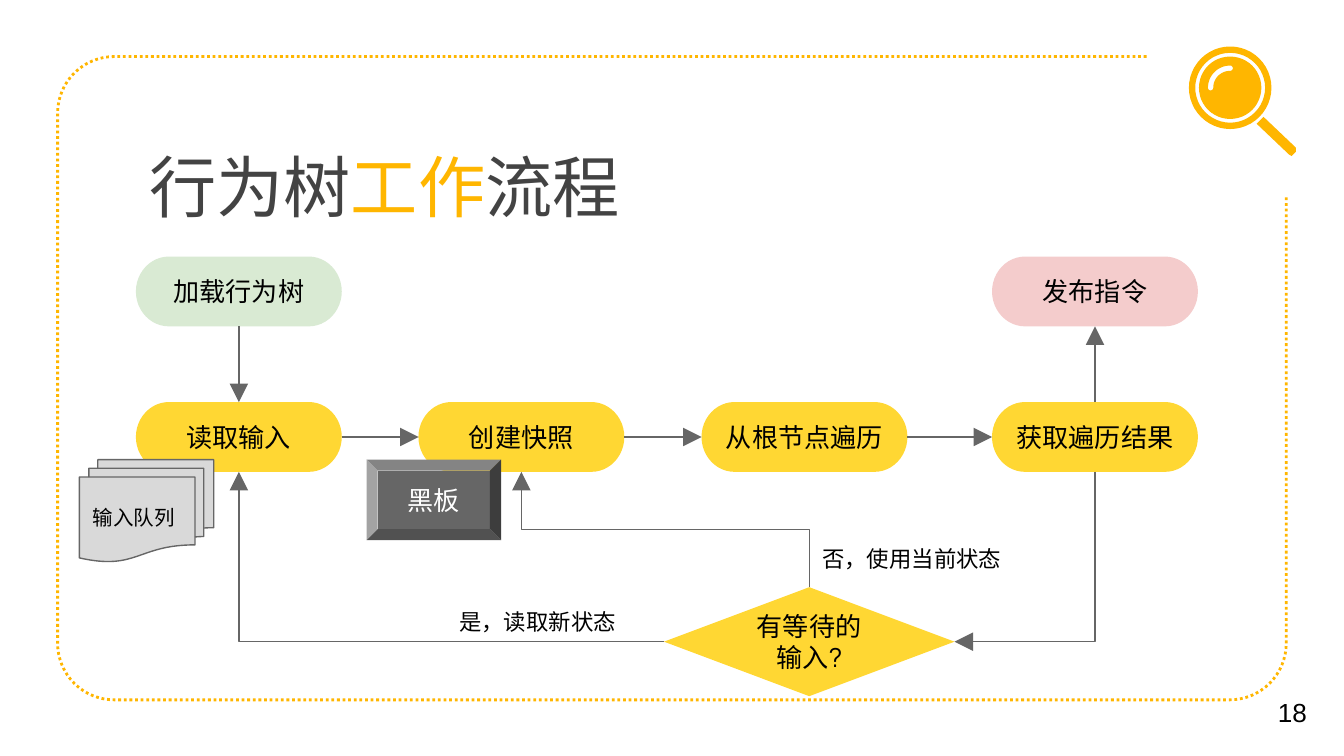
from math import cos, radians, sin

from pptx import Presentation
from pptx.dml.color import RGBColor
from pptx.enum import dml, shapes, text
from pptx.oxml import ns, xmlchemy
from pptx.util import Cm, Pt

AMBER = RGBColor(0xFF, 0xB6, 0x00)
YELLOW = RGBColor(0xFF, 0xD7, 0x33)
GREEN = RGBColor(0xD9, 0xEA, 0xD3)
PINK = RGBColor(0xF4, 0xCC, 0xCC)
LIGHT_GREY = RGBColor(0xD9, 0xD9, 0xD9)
GREY = RGBColor(0x66, 0x66, 0x66)
CHARCOAL = RGBColor(0x43, 0x43, 0x43)
BLACK = RGBColor(0, 0, 0)
WHITE = RGBColor(0xFF, 0xFF, 0xFF)

TOP, LEFT, BOTTOM, RIGHT = range(4)
KIND = shapes.MSO_SHAPE
ALIGN = text.PP_ALIGN


def write(shape, *runs, size=14, font="Manrope", color=BLACK,
          align=ALIGN.CENTER, anchor=text.MSO_ANCHOR.MIDDLE):
    """Fill a shape with one paragraph; a run is a string or (string, colour)."""
    frame = shape.text_frame
    frame.word_wrap = True
    frame.auto_size = text.MSO_AUTO_SIZE.NONE
    frame.vertical_anchor = anchor
    frame.margin_left = frame.margin_right = Cm(0.25)
    frame.margin_top = frame.margin_bottom = Cm(0.25)
    paragraph = frame.paragraphs[0]
    paragraph.alignment = align
    for part in runs:
        words, tint = (part, color) if isinstance(part, str) else part
        run = paragraph.add_run()
        run.text = words
        run.font.size = Pt(size)
        run.font.color.rgb = tint
        run.font.name = font
        for tag in ("a:ea", "a:cs"):
            script = xmlchemy.OxmlElement(tag)
            script.set("typeface", font)
            run.font._element.append(script)


def paint(shape, fill=None, line=None, width=0.75):
    shape.shadow.inherit = False
    if fill is None:
        shape.fill.background()
    else:
        shape.fill.solid()
        shape.fill.fore_color.rgb = fill
    if line is None:
        shape.line.fill.background()
    else:
        shape.line.color.rgb = line
        shape.line.width = Pt(width)


def arc(x, y, radius, start, end, steps=16):
    angles = (radians(start + (end - start) * i / steps) for i in range(steps + 1))
    return [(x + radius * cos(a), y + radius * sin(a)) for a in angles]


def outline(slide, *contours, close=True):
    contours = [[(Cm(x), Cm(y)) for x, y in points] for points in contours]
    builder = slide.shapes.build_freeform(*contours[0][0])
    builder.add_line_segments(contours[0][1:], close=close)
    for points in contours[1:]:
        builder.move_to(*points[0])
        builder.add_line_segments(points[1:], close=close)
    return builder.convert_to_shape()


def draw_frame(slide, left, top, width, height, radius=1.07):
    """Dotted border, open at the top right corner for the icon."""
    right, bottom = left + width, top + height
    points = [(right - 2.64, top)]
    points += arc(left + radius, top + radius, radius, 270, 180)
    points += arc(left + radius, bottom - radius, radius, 180, 90)
    points += arc(right - radius, bottom - radius, radius, 90, 0)
    points.append((right, top + 2.64))
    border = outline(slide, points, close=False)
    paint(border, line=AMBER, width=1.5)
    border.line.dash_style = dml.MSO_LINE.ROUND_DOT


def draw_magnifier(slide, left, top, radius=0.78):
    x, y = left + radius, top + radius
    gleam, cap = 0.37, 0.05
    rim = [arc(x, y, radius, 0, 360, 48), arc(x, y, 0.66, 360, 0, 48)]
    highlight = (arc(x, y, gleam + cap, 180, 270)
                 + arc(x, y - gleam, cap, -90, 90)
                 + arc(x, y, gleam - cap, 270, 180)
                 + arc(x - gleam, y, cap, 0, 180))
    lens = [arc(x, y, 0.59, 0, 360, 48), highlight]
    handle = [(left + dx, top + dy) for dx, dy in (
        (1.41, 1.33), (1.28, 1.46), (1.89, 2.04), (1.94, 2.07),
        (2.02, 1.99), (2.02, 1.91))]
    for contours in (rim, lens, [handle]):
        paint(outline(slide, *contours), fill=AMBER)


def draw_title(slide, left, top, width, height):
    title = slide.shapes.title
    title.left, title.top, title.width, title.height = map(Cm, (left, top, width, height))
    write(title, "行为树", ("工作", AMBER), "流程", size=36, color=CHARCOAL,
          align=ALIGN.LEFT, anchor=text.MSO_ANCHOR.TOP)


def add_label(slide, words, left, top, width, height, **style):
    label = slide.shapes.add_textbox(*map(Cm, (left, top, width, height)))
    write(label, words, align=ALIGN.LEFT, **style)


def add_node(slide, words, left, top, width=3.89, height=1.32,
             kind=KIND.FLOWCHART_TERMINATOR, fill=YELLOW, line=None, **style):
    node = slide.shapes.add_shape(kind, *map(Cm, (left, top, width, height)))
    paint(node, fill, line)
    write(node, words, **style)
    return node


def add_arrow(slide, source, source_side, target, target_side,
              bend=None, turn=0, flip=False):
    """Join two nodes; bend names the elbow preset, turn its rotation."""
    kind = shapes.MSO_CONNECTOR.ELBOW if bend else shapes.MSO_CONNECTOR.STRAIGHT
    arrow = slide.shapes.add_connector(kind, 0, 0, 0, 0)
    arrow.begin_connect(source, source_side)
    arrow.end_connect(target, target_side)
    arrow.line.color.rgb = GREY
    arrow.line.width = Pt(0.75)
    properties = arrow._element.spPr
    head = xmlchemy.OxmlElement("a:tailEnd")
    head.set("type", "triangle")
    head.set("w", "lg")
    head.set("len", "lg")
    arrow.line._get_or_add_ln().append(head)
    properties.append(xmlchemy.OxmlElement("a:effectLst"))
    if bend:
        center_x = (arrow.begin_x + arrow.end_x) // 2
        center_y = (arrow.begin_y + arrow.end_y) // 2
        width, height = arrow.width, arrow.height
        if turn % 180:
            width, height = height, width
        arrow.left, arrow.top = center_x - width // 2, center_y - height // 2
        arrow.width, arrow.height = width, height
        transform = properties.find(ns.qn("a:xfrm"))
        transform.set("rot", str(turn * 60000))
        transform.set("flipH", str(int(flip)))
        transform.set("flipV", "0")
        properties.find(ns.qn("a:prstGeom")).set("prst", bend)


def draw_workflow(slide, left, top):
    columns = [left + dx for dx in (0, 5.34, 10.69, 16.18)]
    row = top + 2.75

    # Steps
    load = add_node(slide, "加载行为树", columns[0], top, fill=GREEN)
    publish = add_node(slide, "发布指令", columns[3], top, fill=PINK)
    names = ("读取输入", "创建快照", "从根节点遍历", "获取遍历结果")
    steps = [add_node(slide, name, x, row) for name, x in zip(names, columns)]
    read, snapshot, _, result = steps
    waiting = add_node(slide, "有等待的输入?", left + 9.98, top + 6.25, 5.49, 2.06,
                       kind=KIND.FLOWCHART_DECISION)

    # Data stores
    board = add_node(slide, "黑板", left + 4.36, top + 3.84, 2.54, 1.52,
                     kind=KIND.BEVEL, fill=GREY, color=WHITE)
    board.adjustments[0] = 0.137
    add_node(slide, "输入队列", left - 1.07, top + 3.84, 2.54, 1.93,
             kind=KIND.FLOWCHART_MULTIDOCUMENT, fill=LIGHT_GREY, line=GREY,
             size=11, align=ALIGN.LEFT)

    # Arrows
    add_arrow(slide, load, BOTTOM, read, TOP)
    for step, following in zip(steps, steps[1:]):
        add_arrow(slide, step, RIGHT, following, LEFT)
    add_arrow(slide, result, TOP, publish, BOTTOM)
    add_arrow(slide, result, BOTTOM, waiting, RIGHT, "bentConnector2", 90)
    add_arrow(slide, waiting, LEFT, read, BOTTOM, "bentConnector2", 180)
    add_arrow(slide, waiting, TOP, snapshot, BOTTOM, "bentConnector3", 90, True)

    # Branch labels
    for words, dx, dy, width in (("否，使用当前状态", 12.72, 5.21, 4.37),
                                 ("是，读取新状态", 5.86, 6.4, 3.89)):
        add_label(slide, words, left + dx, top + dy, width, 0.89,
                  size=12, anchor=text.MSO_ANCHOR.TOP)


def main():
    deck = Presentation()
    deck.slide_width, deck.slide_height = Cm(25.4), Cm(14.29)
    slide = deck.slides.add_slide(deck.slide_layouts[5])
    draw_frame(slide, 1.09, 1.07, 23.22, 12.16)
    draw_title(slide, 2.57, 2.49, 19.08, 2.39)
    add_label(slide, "18", 23.9, 12.75, 1.5, 1.42, font="Arial")
    draw_magnifier(slide, 22.47, 0.88)
    draw_workflow(slide, 2.57, 4.85)
    deck.save("out.pptx")


if __name__ == "__main__":
    main()
